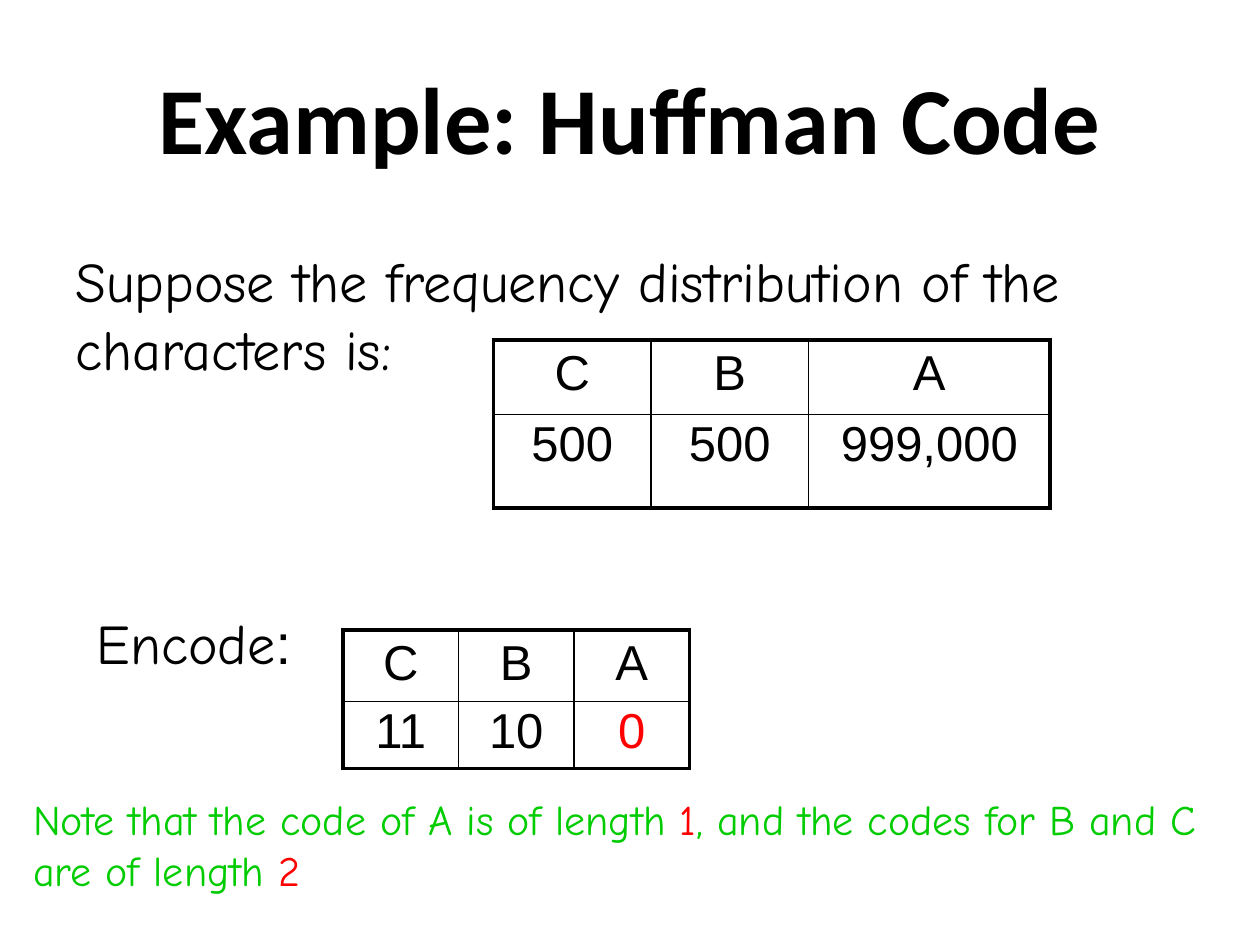
"""Build a slide that shows a Huffman code example."""
from lxml import etree
from pptx import Presentation
from pptx.dml.color import RGBColor
from pptx.enum import text as t
from pptx.oxml import ns
from pptx.util import Pt

INK = {"black": "000000", "red": "FF0000", "green": "00CC00"}
HAND = "Comic Neue"
THICK, THIN = 2.21, 0.96


def write(frame, *parts, font=HAND, size=32, bold=False, align=None, before=None):
    """Fill a frame with parts, each a string or (string, colour, font)."""
    para = frame.paragraphs[0]
    if align is not None:
        para.alignment = align
    if before is not None:
        para.space_before = Pt(before)
    for part in parts:
        words, ink, face = part if isinstance(part, tuple) else (part, "black", font)
        run = para.add_run()
        run.text = words
        run.font.name = face
        run.font.size = Pt(size)
        run.font.bold = bold
        run.font.color.rgb = RGBColor.from_string(INK[ink])


def add_title(slide, words):
    """Place and fill the title."""
    title = slide.shapes.title
    title.left, title.top, title.width, title.height = map(Pt, (36, 21.6, 648, 90))
    frame = title.text_frame
    frame.margin_left = frame.margin_right = frame.margin_top = frame.margin_bottom = 0
    frame.vertical_anchor = t.MSO_ANCHOR.MIDDLE
    frame.word_wrap = True
    write(frame, words, font="Calibri", size=54, bold=True, align=t.PP_ALIGN.CENTER)


def add_note(slide, box, *parts, size=32, wrap=True):
    """Add a text box."""
    frame = slide.shapes.add_textbox(*map(Pt, box)).text_frame
    frame.word_wrap = wrap
    frame.auto_size = t.MSO_AUTO_SIZE.SHAPE_TO_FIT_TEXT
    write(frame, *parts, size=size)


def add_edge(cell, side, width):
    """Draw one border of a cell."""
    line = etree.SubElement(cell._tc.get_or_add_tcPr(), ns.qn(f"a:ln{side}"), w=str(Pt(width)))
    fill = etree.SubElement(line, ns.qn("a:solidFill"))
    etree.SubElement(fill, ns.qn("a:srgbClr"), val=INK["black"])


def add_grid(slide, left, top, cols, rows, data):
    """Add a table with a thick frame and thin inner lines."""
    last, end = len(cols) - 1, len(rows) - 1
    area = map(Pt, (left, top, sum(cols), sum(rows)))
    table = slide.shapes.add_table(len(rows), len(cols), *area).table
    table.first_row = table.horz_banding = False
    for col, width in zip(table.columns, cols):
        col.width = Pt(width)
    for row, height in zip(table.rows, rows):
        row.height = Pt(height)
    for y, line in enumerate(data):
        for x, part in enumerate(line):
            cell = table.cell(y, x)
            outer = {"L": x == 0, "R": x == last, "T": y == 0, "B": y == end}
            for side, edge in outer.items():
                add_edge(cell, side, THICK if edge else THIN)
            cell.fill.background()
            cell.margin_top = Pt(1.6 if y else 3.6)
            write(cell.text_frame, part, font="Arial", size=28,
                  align=t.PP_ALIGN.CENTER, before=5.6)


def main():
    """Build and save the slide."""
    deck = Presentation()
    deck.slide_width, deck.slide_height = Pt(720), Pt(540)
    slide = deck.slides.add_slide(deck.slide_layouts[5])
    add_title(slide, "Example: Huffman Code")
    heads = ["C", "B", "A"]
    add_grid(slide, 282, 194.4, [90, 90, 138], [42.5, 53.3],
             [heads, ["500", "500", "999,000"]])
    add_grid(slide, 196, 360, [66] * 3, [41, 38.2],
             [heads, ["11", "10", ("0", "red", "Arial")]])
    add_note(slide, (36, 137.5, 648, 122.4),
             "Suppose the frequency distribution of the characters is:")
    add_note(slide, (12, 450, 684, 65),
             ("Note that the code of A is of length ", "green", HAND),
             ("1", "red", HAND),
             (", and the codes for B and C are of length ", "green", HAND),
             ("2", "red", HAND), size=24)
    add_note(slide, (48, 344, 129.6, 45.4), "Encode", (":", "black", "Arial"), wrap=False)
    deck.save("out.pptx")


if __name__ == "__main__":
    main()
